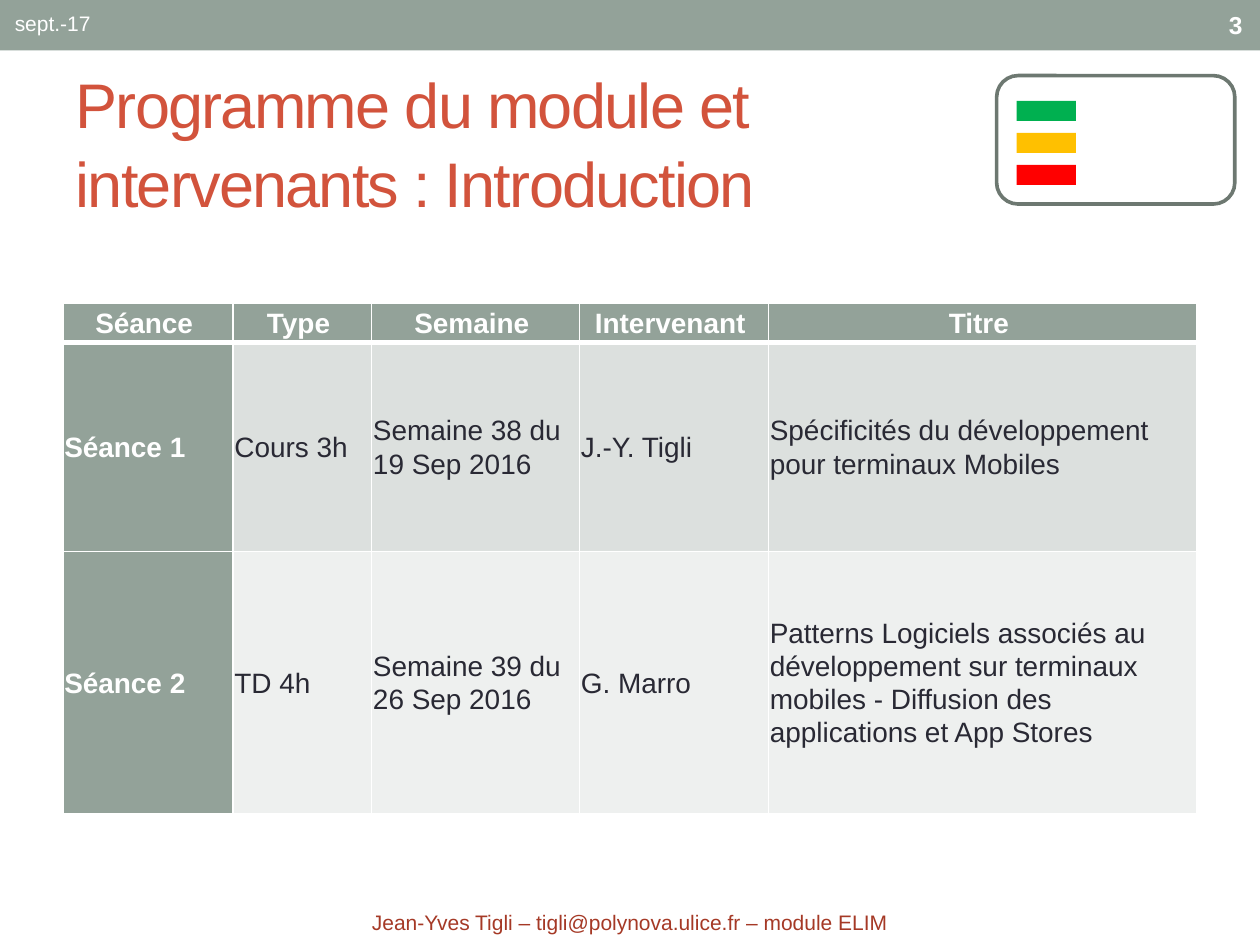
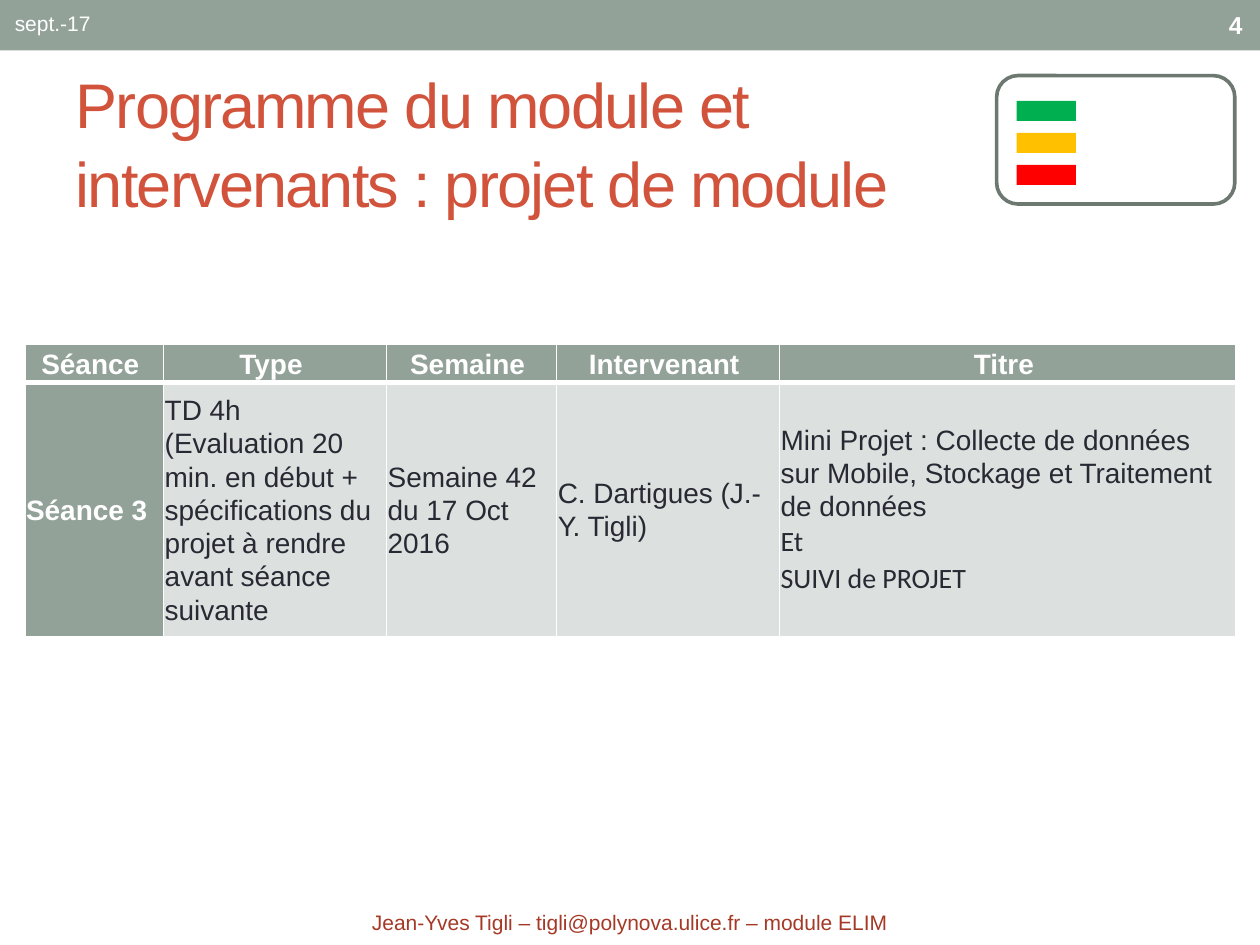
from pptx import Presentation
from pptx.dml.color import RGBColor
from pptx.enum.shapes import MSO_SHAPE
from pptx.enum.text import MSO_ANCHOR, MSO_AUTO_SIZE, PP_ALIGN
from pptx.oxml import parse_xml
from pptx.oxml.ns import nsdecls
from pptx.util import Pt

RECT, ROUNDED = MSO_SHAPE.RECTANGLE, MSO_SHAPE.ROUNDED_RECTANGLE
LEFT, CENTER, RIGHT = PP_ALIGN.LEFT, PP_ALIGN.CENTER, PP_ALIGN.RIGHT
MIDDLE, NO_FIT = MSO_ANCHOR.MIDDLE, MSO_AUTO_SIZE.NONE
TITLE_ONLY = 5

COLORS = {
    "white": "FFFFFF", "sage": "93A299", "frame": "6D7871",
    "green": "00B050", "amber": "FFC000", "red": "FF0000",
    "title": "D2533C", "footer": "A53926", "ink": "292934",
    "odd row": "DCE0DE", "even row": "EEF0EF",
}
HEADINGS = ["Séance ", "Type ", "Semaine ", "Intervenant ", "Titre "]
DATE = "sept.-17"
FOOTER = "Jean-Yves Tigli – tigli@polynova.ulice.fr – module ELIM"


def color(name):
    return RGBColor.from_string(COLORS[name])


def add_span(para, text, size, color_name, bold=False, font="Arial"):
    span = para.add_run()
    span.text = text
    span.font.name, span.font.size, span.font.bold = font, Pt(size), bold
    span.font.color.rgb = color(color_name)
    return span


def add_block(page, kind, box, fill, line=None):
    shape = page.shapes.add_shape(kind, *map(Pt, box))
    shape.shadow.inherit = False
    shape.fill.solid()
    shape.fill.fore_color.rgb = color(fill)
    if line:
        shape.line.color.rgb = color(line)
        shape.line.width = Pt(2.08)
    else:
        shape.line.fill.background()


def add_label(page, box, text, size, color_name, align=LEFT, bold=False):
    frame = page.shapes.add_textbox(*map(Pt, box)).text_frame
    frame.word_wrap = True
    frame.vertical_anchor = MIDDLE
    para = frame.paragraphs[0]
    para.alignment = align
    add_span(para, text, size, color_name, bold)


def add_legend(page, box):
    """Framed legend with three evenly spaced colour keys."""
    left, top, _, _ = box
    add_block(page, ROUNDED, box, "white", "frame")
    for index, name in enumerate(["green", "amber", "red"]):
        key = (left + 11.5, top + 14.4 + 18.3 * index, 33.8, 11.5)
        add_block(page, RECT, key, name)


def set_title(page, box, text):
    title = page.shapes.title
    title.left, title.top, title.width, title.height = map(Pt, box)
    frame = title.text_frame
    frame.auto_size, frame.word_wrap, frame.vertical_anchor = NO_FIT, True, MIDDLE
    frame.margin_top = frame.margin_bottom = 0
    para = frame.paragraphs[0]
    para.alignment, para.line_spacing = LEFT, 1.05
    span = add_span(para, text, 36, "title")
    span.font._element.set("spc", "-100")


def set_borders(cell, bottom):
    """White rules on the four sides; the bottom one has its own width."""
    properties = cell._tc.get_or_add_tcPr()
    for index, side in enumerate("LRTB"):
        width = Pt(bottom if side == "B" else 1)
        properties.insert(index, parse_xml(
            f'<a:ln{side} {nsdecls("a")} w="{width}"><a:solidFill>'
            f'<a:srgbClr val="{COLORS["white"]}"/></a:solidFill></a:ln{side}>'))


def fill_cell(cell, content, fill, strong, heading):
    """Content is one text, or a list of (text, font) paragraphs."""
    cell.fill.solid()
    cell.fill.fore_color.rgb = color(fill)
    cell.vertical_anchor = MIDDLE
    cell.margin_left = cell.margin_right = Pt(0.75)
    cell.margin_top = cell.margin_bottom = Pt(0.75)
    set_borders(cell, 3 if heading else 1)
    paragraphs = [(content, "Arial")] if isinstance(content, str) else content
    for index, (text, font) in enumerate(paragraphs):
        frame = cell.text_frame
        para = frame.add_paragraph() if index else frame.paragraphs[0]
        para.alignment = CENTER if heading else LEFT
        para.line_spacing = 1.07
        add_span(para, text, 16, "white" if strong else "ink", strong, font)


def add_schedule(page, left, top, widths, heights, sessions):
    rows = [HEADINGS] + sessions
    box = (left, top, sum(widths), sum(heights))
    table = page.shapes.add_table(len(rows), len(widths), *map(Pt, box)).table
    for column, width in zip(table.columns, widths):
        column.width = Pt(width)
    for row, height in zip(table.rows, heights):
        row.height = Pt(height)
    for r, row in enumerate(rows):
        for c, content in enumerate(row):
            strong = r == 0 or c == 0
            band = "odd row" if r % 2 else "even row"
            fill_cell(table.cell(r, c), content, "sage" if strong else band,
                      strong, heading=r == 0)


def add_page(deck, number, title):
    """Page with everything the slides share."""
    page = deck.slides.add_slide(deck.slide_layouts[TITLE_ONLY])
    add_block(page, RECT, (0, 0, 720, 28.8), "sage")
    add_legend(page, (569.5, 43.2, 136.1, 73.4))
    set_title(page, (36, 41.8, 522.7, 77.8), title)
    add_label(page, (1.4, 0, 228.2, 25.9), DATE, 12, "white")
    add_label(page, (36.7, 514.1, 646.6, 25.9), FOOTER, 12, "footer", CENTER)
    add_label(page, (632.9, 1.4, 84.2, 25.9), str(number), 14, "white", RIGHT, True)
    return page


def main():
    deck = Presentation()
    deck.slide_width, deck.slide_height = Pt(720), Pt(540)

    # Introduction sessions
    page = add_page(deck, 3, "Programme du module et intervenants : Introduction")
    add_schedule(page, 36, 173.5, [97.2, 79.2, 118.8, 108, 244.8], [22, 119.5, 149.8], [
        ["Séance 1", "Cours 3h", "Semaine 38 du 19 Sep 2016", "J.-Y. Tigli",
         "Spécificités du développement pour terminaux Mobiles"],
        ["Séance 2", "TD 4h", "Semaine 39 du 26 Sep 2016", "G. Marro",
         "Patterns Logiciels associés au développement sur terminaux mobiles"
         " - Diffusion des applications et App Stores"],
    ])

    # Project session
    page = add_page(deck, 4, "Programme du module et intervenants : projet de module")
    add_schedule(page, 14.2, 196.6, [79.2, 127.4, 97.2, 127.4, 261], [21, 133], [
        ["Séance 3",
         "TD 4h (Evaluation 20 min. en début + spécifications du projet"
         " à rendre avant séance suivante",
         "Semaine 42 du 17 Oct 2016", "C. Dartigues (J.-Y. Tigli)",
         [("Mini Projet : Collecte de données sur Mobile, Stockage et"
           " Traitement de données", "Arial"),
          ("Et", "Calibri"), ("SUIVI de PROJET", "Calibri")]],
    ])
    deck.save("out.pptx")


if __name__ == "__main__":
    main()
